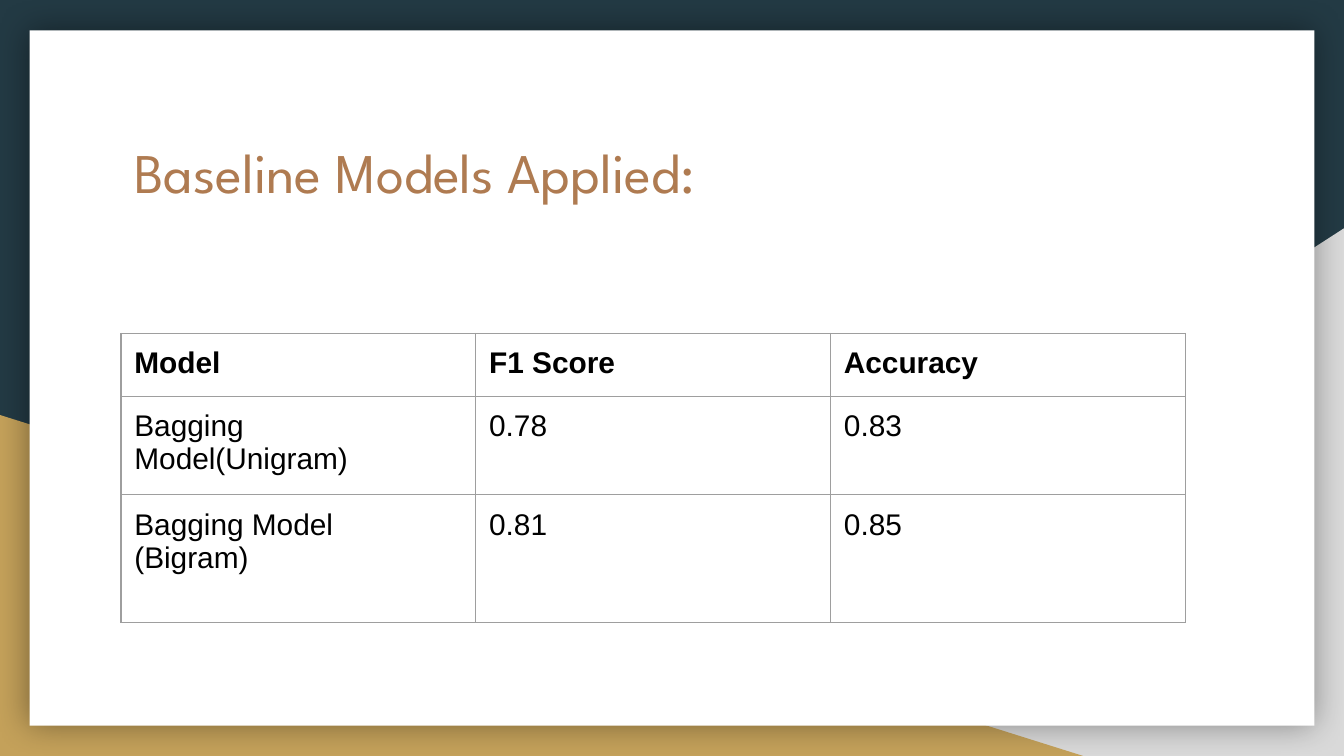
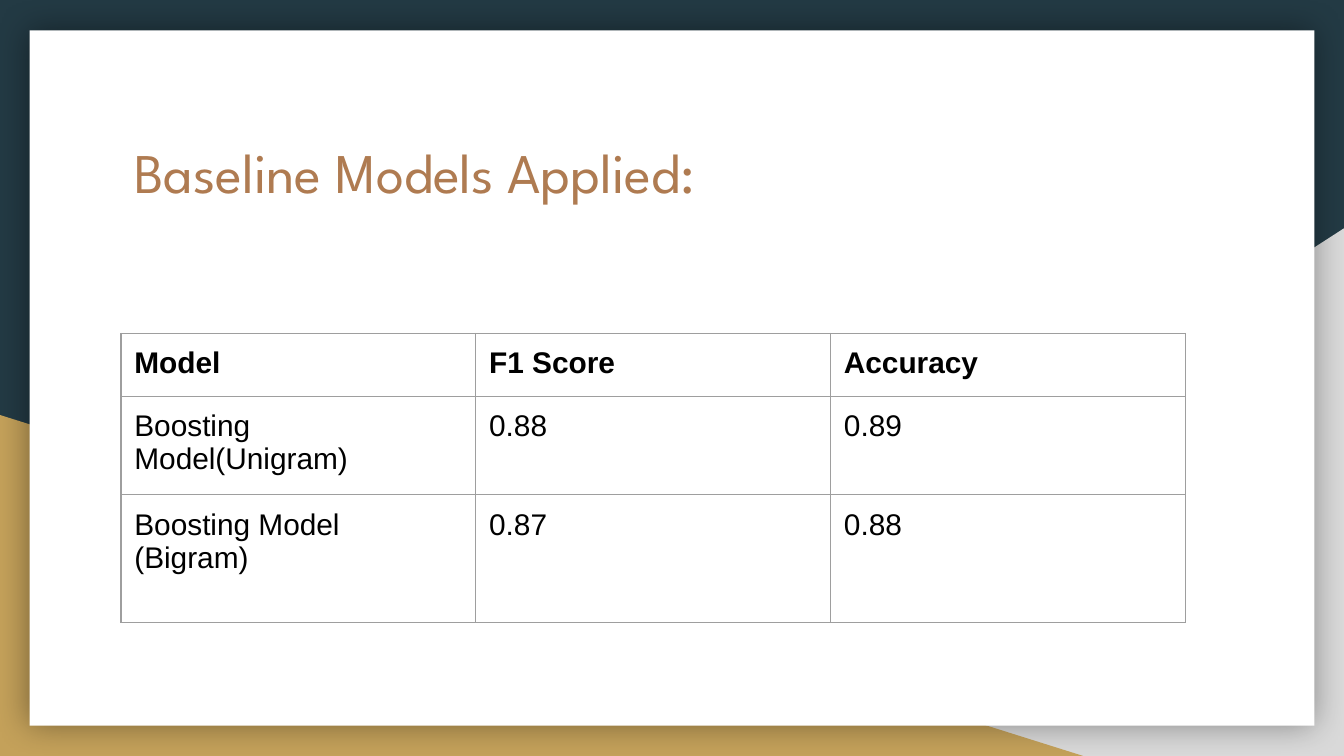
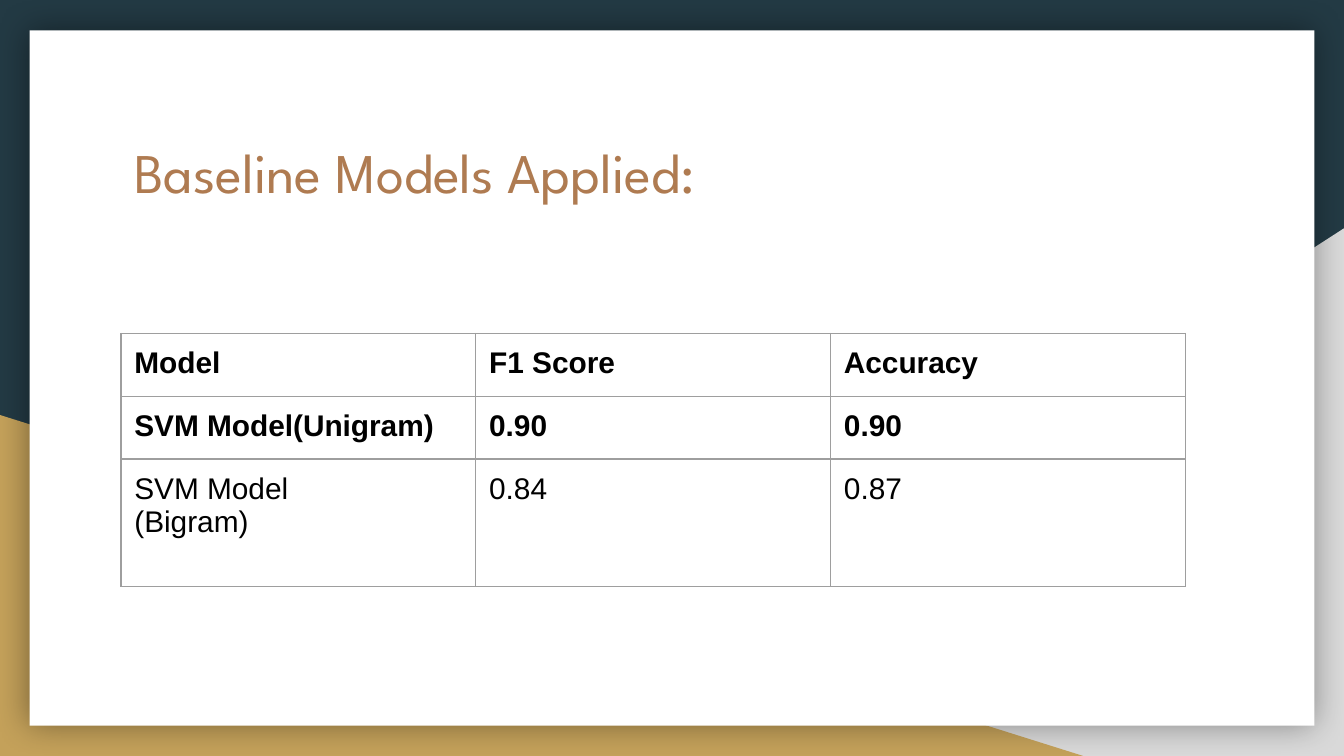
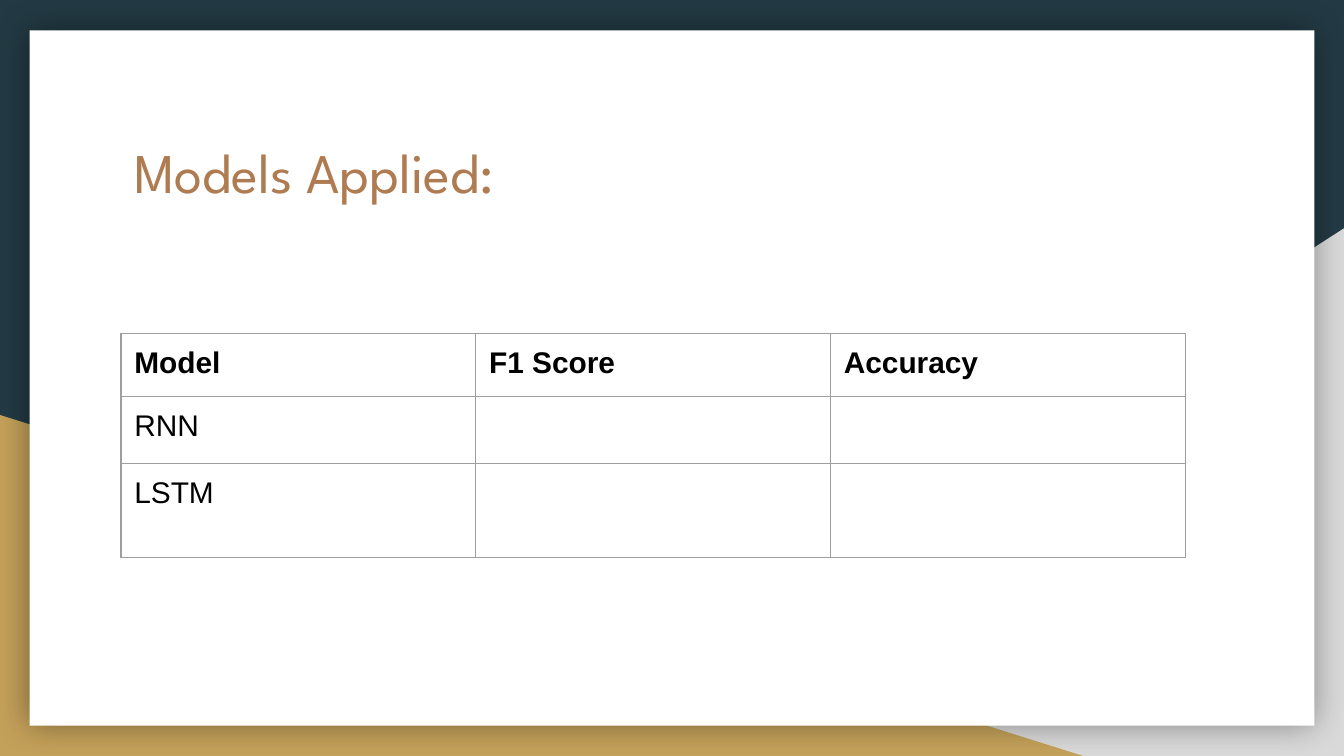
from lxml import etree
from pptx import Presentation
from pptx.dml.color import RGBColor
from pptx.enum.shapes import MSO_SHAPE
from pptx.enum.text import MSO_ANCHOR
from pptx.oxml import parse_xml
from pptx.oxml.ns import qn
from pptx.util import Inches, Pt

TRIANGLE, RECT = MSO_SHAPE.RIGHT_TRIANGLE, MSO_SHAPE.RECTANGLE
TOP = MSO_ANCHOR.TOP
NS = 'xmlns:a="http://schemas.openxmlformats.org/drawingml/2006/main"'

COLORS = {
    "navy": "233A44", "gray": "D9D9D9", "gold": "C4A15A", "white": "FFFFFF",
    "title": "AF7B51", "text": "000000", "border": "9E9E9E", "shadow": "000000",
}
TITLE_FONT, BODY_FONT = "League Spartan", "Arial"
INSET = Inches(0.1)
LINE_HEIGHT = Inches(0.25)      # one line of 16 pt table text
HEADER = ("Model", "F1 Score", "Accuracy")


def rgb(name):
    return RGBColor.from_string(COLORS[name])


class Deck:
    """Style and current slide; positions are percentages of the slide."""

    def __init__(self):
        self.prs = Presentation()
        self.prs.slide_width, self.prs.slide_height = Inches(10), Inches(5.625)

    def box(self, x, y, w, h):
        width, height = self.prs.slide_width, self.prs.slide_height
        return (int(width * x / 100), int(height * y / 100),
                int(width * w / 100), int(height * h / 100))

    def add_slide(self, title):
        self.s = self.prs.slides.add_slide(self.prs.slide_layouts[6])
        self.s.background.fill.solid()
        self.s.background.fill.fore_color.rgb = rgb("navy")
        # Two corner triangles behind a white card
        gray = self.shape(TRIANGLE, "gray", 39.2, 30.2, 60.8, 69.8)
        gray.element.spPr.find(qn("a:xfrm")).set("flipH", "1")
        self.shape(TRIANGLE, "gold", 0, 54.9, 80.6, 45.1)
        self.soft_shadow(self.shape(RECT, "white", 2.2, 4, 95.6, 92))
        self.title(title)

    def shape(self, kind, color, *place):
        sp = self.s.shapes.add_shape(kind, *self.box(*place))
        sp.shadow.inherit = False
        sp.fill.solid()
        sp.fill.fore_color.rgb = rgb(color)
        sp.line.fill.background()
        return sp

    def soft_shadow(self, sp):
        effects = sp.element.spPr.find(qn("a:effectLst"))
        shadow = etree.SubElement(effects, qn("a:outerShdw"), blurRad=str(Pt(18)),
                                  dist="0", dir="0", algn="ctr", rotWithShape="0")
        color = etree.SubElement(shadow, qn("a:srgbClr"), val=COLORS["shadow"])
        etree.SubElement(color, qn("a:alpha"), val="40000")

    def format(self, p, font, size, color, bold=False):
        for r in p.runs:
            r.font.name, r.font.size, r.font.bold = font, Pt(size), bold
            r.font.color.rgb = rgb(color)

    def title(self, text):
        tf = self.s.shapes.add_textbox(*self.box(9, 16.4, 82.1, 18.5)).text_frame
        tf.word_wrap = True
        tf.vertical_anchor = TOP
        tf.margin_left = tf.margin_right = tf.margin_top = tf.margin_bottom = INSET
        tf.text = text
        self.format(tf.paragraphs[0], TITLE_FONT, 30, "title")

    def table(self, rows, lines, bold_rows=(0,)):
        """lines gives each row's height in lines of text."""
        heights = [int(2 * INSET + n * LINE_HEIGHT) for n in lines]
        x, y, w, _ = self.box(9, 44.1, 79.2, 0)
        table = self.s.shapes.add_table(len(rows), len(HEADER), x, y, w,
                                        sum(heights)).table
        table.first_row = table.horz_banding = False
        for i, values in enumerate(rows):
            table.rows[i].height = heights[i]
            for j, value in enumerate(values):
                self.cell(table.cell(i, j), value, i in bold_rows)

    def cell(self, cell, value, bold):
        cell.margin_left = cell.margin_right = INSET
        cell.margin_top = cell.margin_bottom = INSET
        cell.vertical_anchor = TOP
        tcPr = cell._tc.get_or_add_tcPr()
        for side in "LRTB":
            tcPr.append(parse_xml(
                f'<a:ln{side} {NS} w="{Pt(0.75)}"><a:solidFill>'
                f'<a:srgbClr val="{COLORS["border"]}"/></a:solidFill></a:ln{side}>'))
        cell.fill.background()
        if value:
            cell.text_frame.text = value
            for p in cell.text_frame.paragraphs:
                self.format(p, BODY_FONT, 16, "text", bold)


deck = Deck()

# Bagging
deck.add_slide("Baseline Models Applied:")
deck.table([HEADER,
            ("Bagging Model(Unigram)", "0.78", "0.83"),
            ("Bagging Model\n(Bigram)", "0.81", "0.85")], lines=(1, 2, 3))

# Boosting
deck.add_slide("Baseline Models Applied:")
deck.table([HEADER,
            ("Boosting Model(Unigram)", "0.88", "0.89"),
            ("Boosting Model\n(Bigram)", "0.87", "0.88")], lines=(1, 2, 3))

# SVM, with the best row in bold
deck.add_slide("Baseline Models Applied:")
deck.table([HEADER,
            ("SVM Model(Unigram)", "0.90", "0.90"),
            ("SVM Model\n(Bigram)", "0.84", "0.87")], lines=(1, 1, 3),
           bold_rows=(0, 1))

# Neural models, scores still open
deck.add_slide("Models Applied:")
deck.table([HEADER, ("RNN", "", ""), ("LSTM", "", "")], lines=(1, 1.12, 2))

deck.prs.save("out.pptx")
